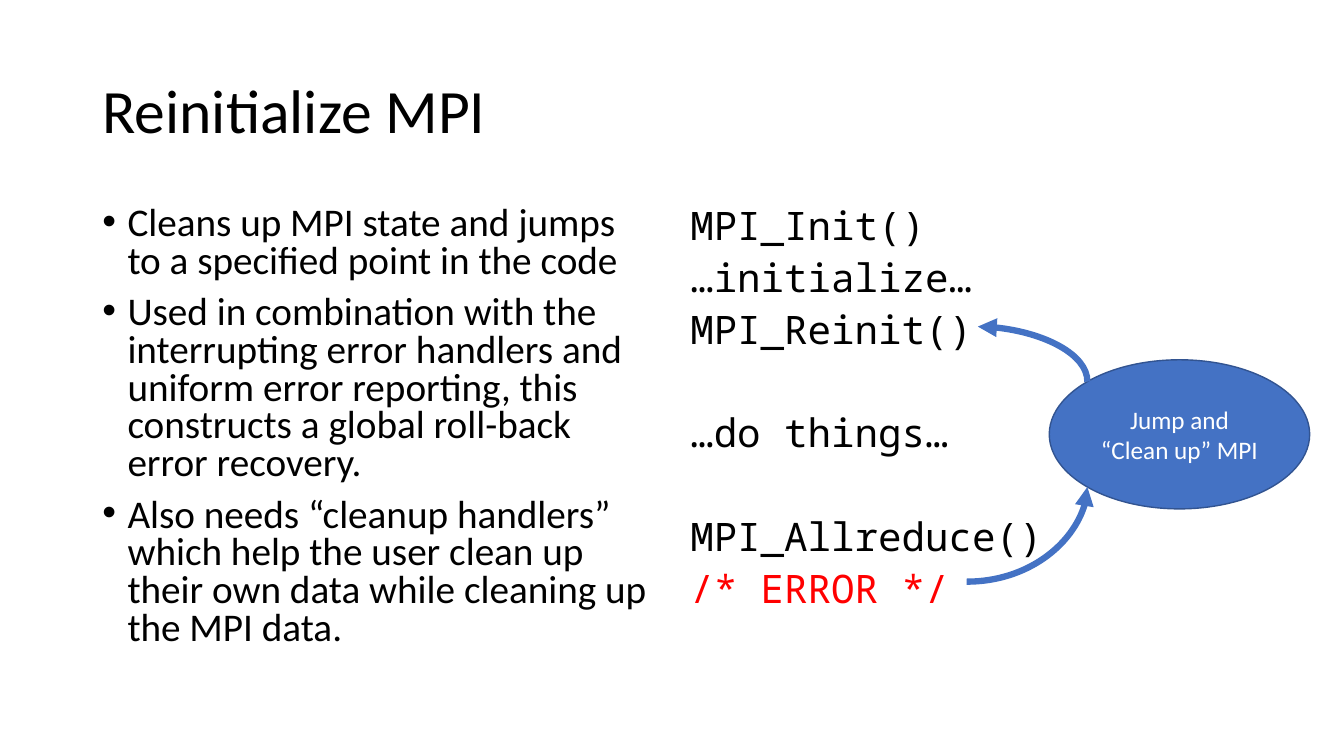
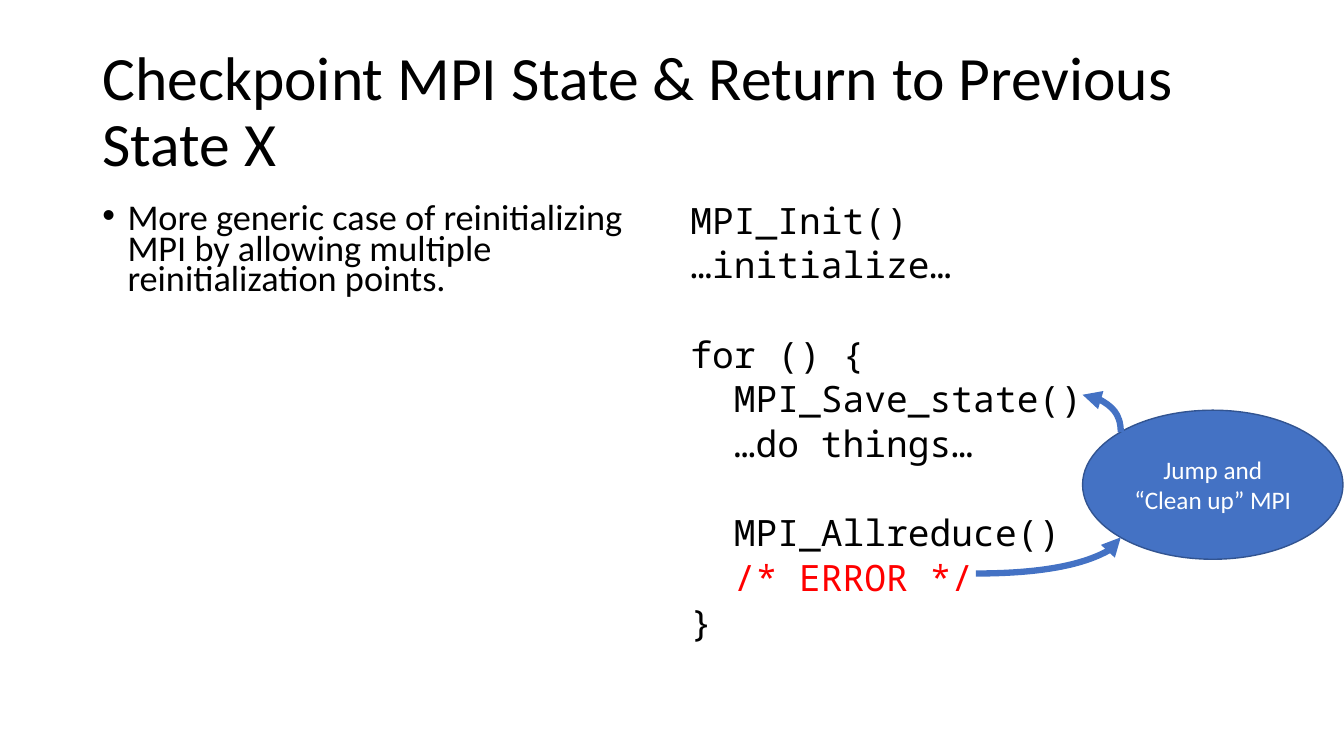
import math

from lxml import etree
from pptx import Presentation
from pptx.dml.color import RGBColor
from pptx.enum import shapes, text
from pptx.oxml import ns
from pptx.util import Pt

BLACK = RGBColor(0x00, 0x00, 0x00)
WHITE = RGBColor(0xFF, 0xFF, 0xFF)
RED = RGBColor(0xFF, 0x00, 0x00)
BLUE = RGBColor(0x44, 0x72, 0xC4)
DARK_BLUE = RGBColor(0x32, 0x54, 0x91)

SANS, MONO = "Calibri", "Noto Sans Mono"
PARA_GAP = 10
INDENT = 18
BUBBLE_SIZE = (186, 106.5)
# Share of an ellipse's width or height that lies before its diagonal points
DIAGONAL = (1 - math.sqrt(0.5)) / 2


def apply(target, **values):
    for name, value in values.items():
        setattr(target, name, value)


class Deck:
    """Holds the shared style and the slide being filled."""

    def __init__(self):
        self.deck = Presentation()
        apply(self.deck, slide_width=Pt(960), slide_height=Pt(540))
        self.page = None

    def style(self, para, size, font=SANS, color=BLACK, **layout):
        apply(para, **layout)
        apply(para.font, size=Pt(size), name=font)
        para.font.color.rgb = color

    def add_page(self, title):
        self.page = self.deck.slides.add_slide(self.deck.slide_layouts[5])
        box = self.page.shapes.title
        apply(box, left=Pt(66), top=Pt(28.75), width=Pt(828), height=Pt(104.4))
        frame = box.text_frame
        apply(frame, text=title, word_wrap=True,
              vertical_anchor=text.MSO_ANCHOR.MIDDLE,
              auto_size=text.MSO_AUTO_SIZE.NONE)
        self.style(frame.paragraphs[0], 44, line_spacing=0.9,
                   alignment=text.PP_ALIGN.LEFT)

    def add_column(self, left, top, lines):
        """Add a half-width text box and return its paragraphs, one per line."""
        box = self.page.shapes.add_textbox(Pt(left), Pt(top), Pt(408), Pt(342.6))
        frame = box.text_frame
        apply(frame, word_wrap=True, text="\n".join(lines))
        return frame.paragraphs

    def add_bullets(self, items, size, spacing):
        for index, para in enumerate(self.add_column(66, 144, items)):
            props = para._p.get_or_add_pPr()
            apply_indent = {"marL": INDENT, "indent": -INDENT}
            for name, value in apply_indent.items():
                props.set(name, str(Pt(value)))
            font = etree.SubElement(props, ns.qn("a:buFont"))
            font.set("typeface", "Arial")
            etree.SubElement(props, ns.qn("a:buChar")).set("char", "•")
            self.style(para, size, line_spacing=spacing,
                       space_before=Pt(PARA_GAP if index else 0))

    def add_code(self, code, size, line_height):
        """Add code lines; an empty line becomes space before the next one."""
        lines = code.split("\n")
        shown = [index for index, line in enumerate(lines) if line]
        paras = self.add_column(486, 147, [lines[index] for index in shown])
        previous = [-1] + shown
        for para, index, before in zip(paras, shown, previous):
            skipped = index - before - 1
            gap = PARA_GAP + skipped * (PARA_GAP + line_height) if index else 0
            color = RED if "ERROR" in lines[index] else BLACK
            self.style(para, size, MONO, color, line_spacing=Pt(line_height),
                       space_before=Pt(gap))

    def add_curve(self, begin, end, arrow_end):
        """Draw a curve that leaves begin sideways and meets end upright."""
        line = self.page.shapes.add_connector(
            shapes.MSO_CONNECTOR.CURVE, *map(Pt, begin + end))
        line.line.color.rgb = BLUE
        line.line.width = Pt(4.5)
        props = line._element.spPr
        props.find(ns.qn("a:prstGeom")).set("prst", "curvedConnector2")
        arrow = etree.SubElement(line.line._get_or_add_ln(), ns.qn(arrow_end))
        arrow.set("type", "triangle")
        etree.SubElement(props, ns.qn("a:effectLst"))

    def add_jump(self, left, top, error, target):
        """Add the clean-up bubble with curves from the error to the target."""
        width, height = BUBBLE_SIZE
        bubble = self.page.shapes.add_shape(
            shapes.MSO_SHAPE.OVAL, Pt(left), Pt(top), Pt(width), Pt(height))
        bubble.shadow.inherit = False
        bubble.fill.solid()
        bubble.fill.fore_color.rgb = BLUE
        bubble.line.color.rgb = DARK_BLUE
        bubble.line.width = Pt(1)
        frame = bubble.text_frame
        apply(frame, text="Jump and “Clean up” MPI", word_wrap=True,
              vertical_anchor=text.MSO_ANCHOR.MIDDLE)
        self.style(frame.paragraphs[0], 18, color=WHITE,
                   alignment=text.PP_ALIGN.CENTER)
        x = left + width * DIAGONAL
        inset = height * DIAGONAL
        self.add_curve(error, (x, top + height - inset), "a:tailEnd")
        self.add_curve(target, (x, top + inset), "a:headEnd")


REINIT_CODE = """MPI_Init()
…initialize…
MPI_Reinit()

…do things…

MPI_Allreduce()
/* ERROR */"""

CHECKPOINT_CODE = """MPI_Init()
…initialize…

for () {
  MPI_Save_state()
  …do things…

  MPI_Allreduce()
  /* ERROR */
}"""


def main():
    show = Deck()

    show.add_page("Reinitialize MPI")
    show.add_bullets([
        "Cleans up MPI state and jumps to a specified point in the code",
        "Used in combination with the interrupting error handlers and uniform "
        "error reporting, this constructs a global roll-back error recovery.",
        "Also needs “cleanup handlers” which help the user clean up their own "
        "data while cleaning up the MPI data.",
    ], size=28, spacing=0.8)
    show.add_code(REINIT_CODE, size=28, line_height=27)
    show.add_jump(749.5, 257, error=(690.5, 415.5), target=(698.5, 233.3))

    show.add_page("Checkpoint MPI State & Return to Previous State X")
    show.add_bullets([
        "More generic case of reinitializing MPI by allowing multiple "
        "reinitialization points.",
    ], size=25.9, spacing=0.7)
    show.add_code(CHECKPOINT_CODE, size=25.9, line_height=21.9)
    show.add_jump(773.3, 293, error=(697, 409.7), target=(773.3, 282))

    show.deck.save("out.pptx")


if __name__ == "__main__":
    main()
